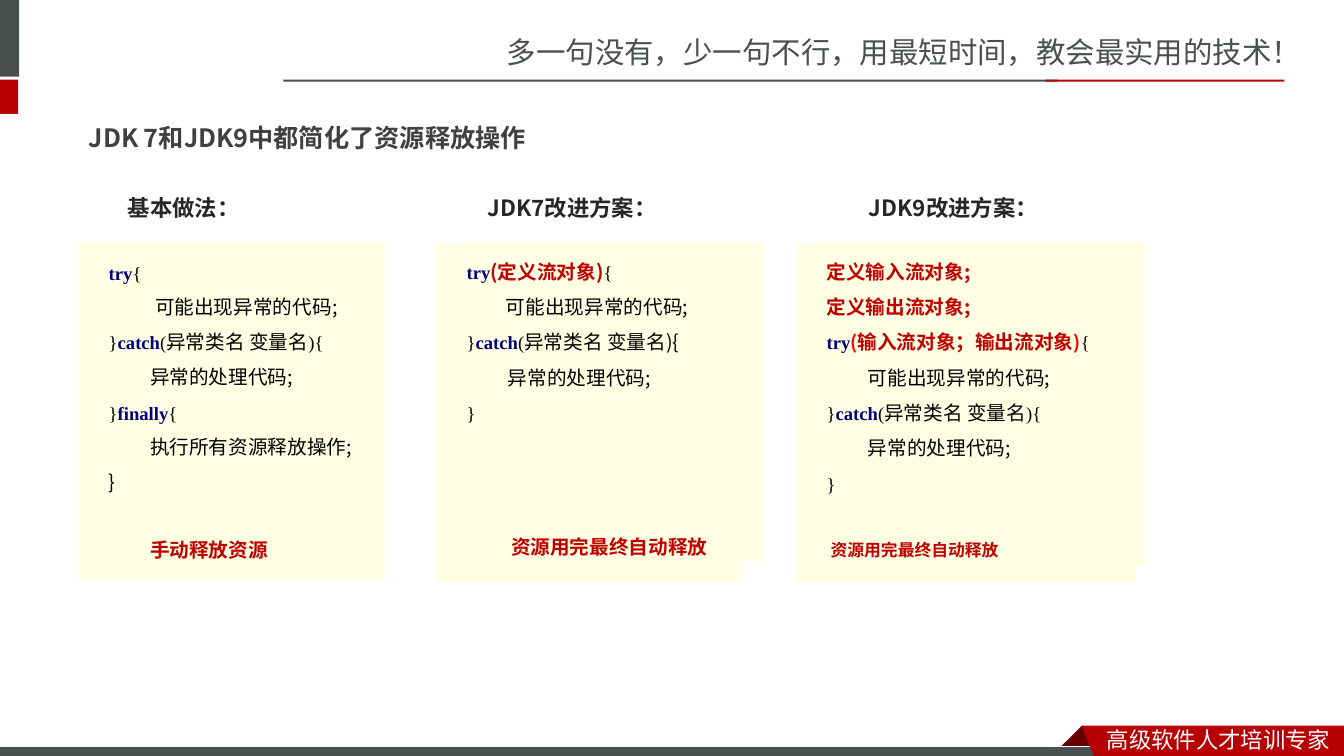
"""Build the slide comparing resource release in JDK 7 and JDK 9."""
from pptx import Presentation
from pptx.dml.color import RGBColor
from pptx.enum.shapes import MSO_SHAPE
from pptx.enum.text import MSO_ANCHOR, MSO_AUTO_SIZE, PP_ALIGN
from pptx.oxml.ns import qn
from pptx.util import Inches, Pt

RECT = MSO_SHAPE.RECTANGLE
TOP, MIDDLE = MSO_ANCHOR.TOP, MSO_ANCHOR.MIDDLE
LEFT, FIXED = PP_ALIGN.LEFT, MSO_AUTO_SIZE.NONE

COLORS = {
    "gray": "49504F", "red": "B60004", "dark": "680000", "white": "FFFFFF",
    "cream": "FFFFE4", "black": "000000", "navy": "000080", "crimson": "C00000",
    "bright": "FF0000", "head": "262626", "title": "404040",
}
JP, SC, TIMES = "Noto Sans CJK JP", "Noto Sans CJK SC", "Times New Roman"

STYLES = {
    "key": (TIMES, 13.3, "navy", True),
    "code": (TIMES, 13.3, "black", False),
    "text": (JP, 14, "black", False),
    "hot": (JP, 14, "crimson", True),
    "paren": (SC, 13.3, "bright", True),
    "note": (JP, 12, "crimson", True),
    "head": (JP, 16, "head", True),
    "title": (JP, 18, "title", True),
    "motto": (SC, 21, "gray", False),
    "foot": (SC, 16, "white", False),
}

TITLE = "JDK 7和JDK9中都简化了资源释放操作"
MOTTO = "多一句没有，少一句不行，用最短时间，教会最实用的技术！"
FOOT = "高级软件人才培训专家"

BARS = [
    (-0.06, 0, 0.25, 0.76, "gray"),
    (-0.06, 0.79, 0.24, 0.34, "red"),
    (2.81, 0.79, 7.68, 0.02, "gray"),
    (10.37, 0.79, 2.37, 0.02, "red"),
]
FOLD = [(10.73, 7.2), (10.95, 7.42), (10.94, 7.43), (10.52, 7.43), (10.51, 7.42)]
RIBBON = [(10.73, 7.2), (13.33, 7.2), (13.33, 7.54), (10.86, 7.53)]

TRY = [("key", "try"), ("code", "{")]
RISK = [("text", "可能出现异常的代码;")]
CATCH = [("code", "}"), ("key", "catch"), ("code", "("),
         ("text", "异常类名 变量名"), ("code", "){")]
CATCH_7 = CATCH[:3] + [("text", "异常类名 变量名){")]
HANDLE = [("text", "异常的处理代码;")]
END = [("code", "}")]

COLUMNS = [
    {"head": "基本做法：", "head_x": 1.17, "card": (0.78, 2.41, 3.04, 3.35),
     "body": (0.98, 2.42, 3.05, 3.19), "fill": None, "pitch": 25, "gap": 23.5,
     "lines": [(0, TRY), (0.46, RISK), (0, CATCH), (0.41, HANDLE),
               (0, [("code", "}"), ("key", "finally"), ("code", "{")]),
               (0.41, [("text", "执行所有资源释放操作;")]),
               (0, [("text", "}")])],
     "note": (0.41, [("hot", "手动释放资源")])},
    {"head": "JDK7改进方案：", "head_x": 4.74, "card": (4.32, 2.42, 3.04, 3.35),
     "body": (4.53, 2.41, 3.05, 3.16), "fill": "cream", "pitch": 25.2, "gap": 71,
     "lines": [(0, [TRY[0], ("hot", "(定义流对象)"), TRY[1]]), (0.39, RISK),
               (0, CATCH_7), (0.41, HANDLE), (0, END)],
     "note": (0.44, [("hot", "资源用完最终自动释放")])},
    {"head": "JDK9改进方案：", "head_x": 8.52, "card": (7.9, 2.42, 3.36, 3.35),
     "body": (8.1, 2.41, 3.26, 3.2), "fill": "cream", "pitch": 25.2, "gap": 21,
     "lines": [(0, [("hot", "定义输入流对象;")]), (0, [("hot", "定义输出流对象;")]),
               (0, [TRY[0], ("paren", "("), ("hot", "输入流对象；输出流对象"),
                    ("paren", ")"), TRY[1]]),
               (0.41, RISK), (0, CATCH), (0.41, HANDLE), (0, END)],
     "note": (0.04, [("note", "资源用完最终自动释放")])},
]


def rgb(name):
    return RGBColor.from_string(COLORS[name])


def paint(shape, fill, line=None):
    shape.shadow.inherit = False
    shape.fill.solid()
    shape.fill.fore_color.rgb = rgb(fill)
    if line:
        shape.line.color.rgb = rgb(line)
        shape.line.width = Pt(0.75)
    else:
        shape.line.fill.background()


def add_bar(slide, x, y, w, h, fill, line=None):
    bar = slide.shapes.add_shape(RECT, Inches(x), Inches(y), Inches(w), Inches(h))
    paint(bar, fill, line)


def add_free(slide, points, fill):
    spots = [(Inches(x), Inches(y)) for x, y in points]
    pen = slide.shapes.build_freeform(*spots[0])
    pen.add_line_segments(spots[1:], close=True)
    paint(pen.convert_to_shape(), fill)


def add_runs(para, parts):
    para.alignment = LEFT
    for style, text in parts:
        face, size, color, bold = STYLES[style]
        run = para.add_run()
        run.text = text
        font = run.font
        font.name, font.size, font.bold = face, Pt(size), bold
        font.color.rgb = rgb(color)
        props = font._element
        east = props.makeelement(qn("a:ea"), {"typeface": face})
        props.find(qn("a:latin")).addnext(east)


def set_frame(shape, anchor):
    frame = shape.text_frame
    frame.word_wrap = True
    frame.auto_size = FIXED
    frame.vertical_anchor = anchor
    return frame


def add_box(slide, x, y, w, h, anchor=MIDDLE):
    box = slide.shapes.add_textbox(Inches(x), Inches(y), Inches(w), Inches(h))
    set_frame(box, anchor)
    return box


def add_label(slide, place, style, text):
    box = add_box(slide, *place)
    add_runs(box.text_frame.paragraphs[0], [(style, text)])


def add_code(slide, col):
    box = add_box(slide, *col["body"], TOP)
    if col["fill"]:
        paint(box, col["fill"])
    frame = box.text_frame
    for i, (indent, parts) in enumerate(col["lines"] + [col["note"]]):
        para = frame.add_paragraph() if i else frame.paragraphs[0]
        para.line_spacing = Pt(col["pitch"])
        add_runs(para, parts)
        props = para._p.get_or_add_pPr()
        props.set("marL", str(Inches(indent)))
        props.set("indent", "0")
    para.space_before = Pt(col["gap"])


def main():
    deck = Presentation()
    deck.slide_width, deck.slide_height = Inches(13.33), Inches(7.5)
    slide = deck.slides.add_slide(deck.slide_layouts[5])

    title = slide.shapes.title
    title.left, title.top = Inches(0.78), Inches(1.11)
    title.width, title.height = Inches(6.18), Inches(0.51)
    add_runs(set_frame(title, MIDDLE).paragraphs[0], [("title", TITLE)])

    add_label(slide, (4.93, 0.28, 8.4, 0.47), "motto", MOTTO)
    for bar in BARS:
        add_bar(slide, *bar)
    add_free(slide, FOLD, "dark")
    add_bar(slide, -0.01, 7.41, 11, 0.12, "gray", "white")
    add_free(slide, RIBBON, "red")
    add_label(slide, (10.88, 7.15, 2.45, 0.37), "foot", FOOT)

    for col in COLUMNS:
        add_label(slide, (col["head_x"], 1.82, 3, 0.47), "head", col["head"])
        add_bar(slide, *col["card"], "cream")
        add_code(slide, col)
    deck.save("out.pptx")


main()
